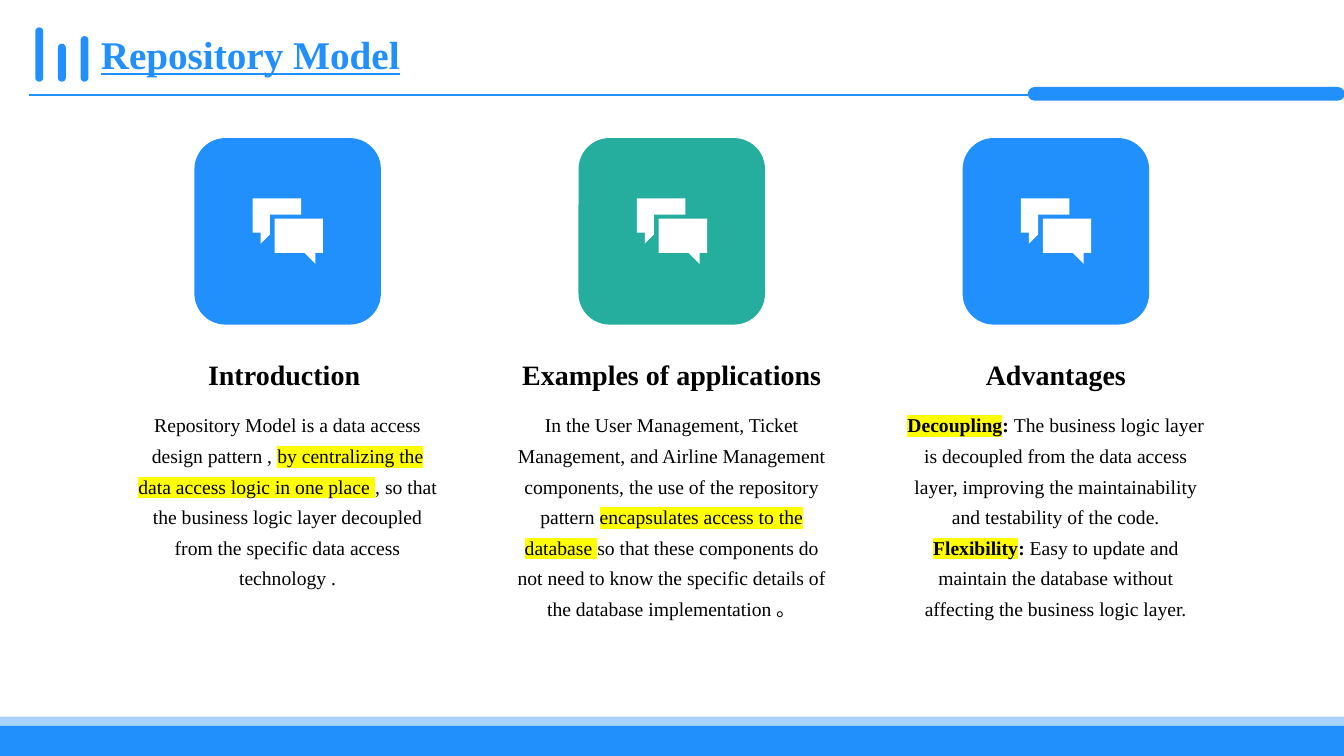
import pptx
import pptx.util
import pptx.dml.color
import pptx.enum.shapes
import pptx.enum.text
import pptx.oxml
import pptx.oxml.ns

Cm = pptx.util.Cm
Pt = pptx.util.Pt
SHAPE = pptx.enum.shapes.MSO_SHAPE
ALIGN = pptx.enum.text.PP_ALIGN
ANCHOR = pptx.enum.text.MSO_ANCHOR
NS = pptx.oxml.ns.nsdecls("a")

BLUE, GREEN, WHITE = "2290FC", "25AE9E", "FFFFFF"
BLACK, YELLOW = "000000", "FFFF00"
FONT = "Times New Roman"
WIDE, HIGH = 33.87, 19.05

# Speech bubbles, in hundredths of a centimetre
FRONT = [(55, 51), (177, 51), (177, 137), (158, 137), (158, 165),
         (130, 137), (55, 137)]
BACK = [(0, 0), (122, 0), (122, 41), (43, 41), (43, 91), (20, 114),
        (20, 86), (0, 86)]

# Each run is (text, style): b is bold, h is highlighted
COLUMNS = [
    ("Introduction ", BLUE, 7.65, [[
        ("Repository Model is a data access design pattern , ", ""),
        ("by centralizing the data access logic in one place ", "h"),
        (", so that the business logic layer decoupled from the specific "
         "data access technology .", "")]]),
    ("Examples of applications", GREEN, 7.92, [[
        ("In the User Management, Ticket Management, and Airline Management "
         "components, the use of the repository pattern ", ""),
        ("encapsulates access to the database ", "h"),
        ("so that these components do not need to know the specific details "
         "of the database implementation 。", "")]]),
    ("Advantages", BLUE, 7.65, [
        [("Decoupling", "bh"), (": ", "b"),
         ("The business logic layer is decoupled from the data access layer, "
          "improving the maintainability and testability of the code.", "")],
        [("Flexibility", "bh"), (": ", "b"),
         ("Easy to update and maintain the database without affecting the "
          "business logic layer.", "")]]),
]


def rgb(color):
    return pptx.dml.color.RGBColor.from_string(color)


def paint(shape, color):
    shape.shadow.inherit = False
    shape.fill.solid()
    shape.fill.fore_color.rgb = rgb(color)
    shape.line.fill.background()


def block(slide, kind, x, y, w, h, color, round=None):
    shape = slide.shapes.add_shape(kind, Cm(x), Cm(y), Cm(w), Cm(h))
    paint(shape, color)
    if round is not None:
        shape.adjustments[0] = round
    return shape


def style(run, size, color=BLACK, bold=False, mark=False):
    font = run.font
    font.size, font.bold = Pt(size), bold
    font.color.rgb = rgb(color)
    # The highlight must stand between the fill and the typeface
    if mark:
        font._element.append(pptx.oxml.parse_xml(
            f'<a:highlight {NS}><a:srgbClr val="{YELLOW}"/></a:highlight>'))
    font.name = FONT


def label(slide, x, y, w, h):
    frame = slide.shapes.add_textbox(Cm(x), Cm(y), Cm(w), Cm(h)).text_frame
    frame.word_wrap = True
    frame.margin_left = frame.margin_right = 0
    frame.margin_top = frame.margin_bottom = 0
    return frame


def header(slide, x, y, w):
    # Rule with a thick end
    rule = slide.shapes.add_connector(
        pptx.enum.shapes.MSO_CONNECTOR.STRAIGHT,
        Cm(x), Cm(y + 1.7), Cm(x + 28.52), Cm(y + 1.7))
    rule.line.color.rgb = rgb(BLUE)
    rule.line.width = Pt(1.5)
    rule._element.spPr.append(pptx.oxml.parse_xml(f"<a:effectLst {NS}/>"))
    end = block(slide, SHAPE.ROUNDED_RECTANGLE, x + w - 7.95, y + 1.52,
                7.95, 0.31, BLUE, 0.5)
    end.line.color.rgb = rgb(BLUE)
    end.line.width = Pt(1)
    # Three bars standing on one base
    for i, tall in enumerate((1.37, 0.96, 1.15)):
        block(slide, SHAPE.ROUNDED_RECTANGLE, x + 0.15 + 0.57 * i,
              y + 1.37 - tall, 0.2, tall, BLUE, 0.5)
    # Title
    box = slide.shapes.add_textbox(Cm(x + 1.55), Cm(y + 0.07),
                                   Cm(8.13), Cm(1.35))
    frame = box.text_frame
    frame.word_wrap = False
    frame.vertical_anchor = ANCHOR.MIDDLE
    frame.text = "Repository Model"
    line = frame.paragraphs[0]
    line.line_spacing = 0.9
    style(line.runs[0], 28, BLUE, True)
    line.runs[0].font.underline = True


def footer(slide, y, h):
    pale = block(slide, SHAPE.RECTANGLE, 0, y, WIDE, h, BLUE)
    tint = pale._element.spPr.find(".//" + pptx.oxml.ns.qn("a:srgbClr"))
    tint.append(pptx.oxml.parse_xml(f'<a:alpha {NS} val="39000"/>'))
    block(slide, SHAPE.RECTANGLE, 0, y + 0.23, WIDE, h - 0.23, BLUE)


def icon(slide, x, y, side, color):
    block(slide, SHAPE.ROUNDED_RECTANGLE, x, y, side, side, color, 0.167)
    pen = slide.shapes.build_freeform(*FRONT[0], scale=Cm(0.01))
    pen.add_line_segments(FRONT[1:], close=True)
    pen.move_to(*BACK[0])
    pen.add_line_segments(BACK[1:], close=True)
    paint(pen.convert_to_shape(Cm(x + 1.47), Cm(y + 1.52)), WHITE)


def column(slide, mid, y, w, head, color, body):
    side = 4.7
    icon(slide, mid - side / 2, y, side, color)
    # Heading
    frame = label(slide, mid - w / 2, y + 5.54, w, 1.02)
    frame.text = head
    frame.paragraphs[0].alignment = ALIGN.CENTER
    style(frame.paragraphs[0].runs[0], 20, bold=True)
    # Body
    frame = label(slide, mid - w / 2, y + 6.76, w, 5.33)
    for i, runs in enumerate(body):
        para = frame.add_paragraph() if i else frame.paragraphs[0]
        para.alignment = ALIGN.CENTER
        para.line_spacing = 1.3
        for text, look in runs:
            run = para.add_run()
            run.text = text
            style(run, 14, bold="b" in look, mark="h" in look)


def main():
    deck = pptx.Presentation()
    deck.slide_width, deck.slide_height = Cm(WIDE), Cm(HIGH)
    slide = deck.slides.add_slide(deck.slide_layouts[6])
    header(slide, 0.74, 0.69, WIDE - 0.74)
    footer(slide, 18.06, HIGH - 18.06)
    for i, (head, color, w, body) in enumerate(COLUMNS):
        column(slide, 7.25 + 9.68 * i, 3.48, w, head, color, body)
    deck.save("out.pptx")


if __name__ == "__main__":
    main()
